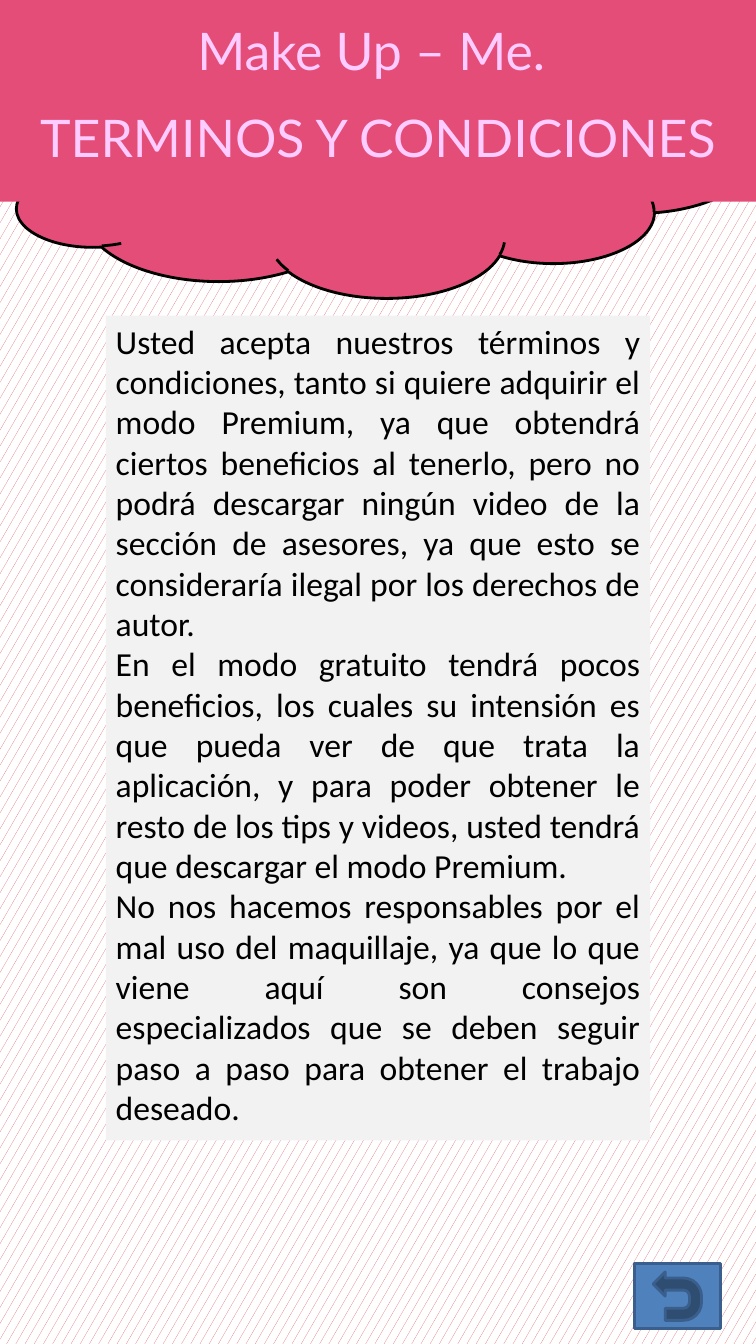
import pptx
import pptx.util
from pptx.dml.color import RGBColor
from pptx.enum.dml import MSO_PATTERN
from pptx.enum.shapes import MSO_SHAPE
from pptx.enum.text import MSO_ANCHOR, MSO_AUTO_SIZE, PP_ALIGN
from pptx.oxml import parse_xml
from pptx.oxml.ns import nsdecls
from pptx.util import Inches

PINK = RGBColor(0xE3, 0x4D, 0x78)
CONFETTI = RGBColor(0xD9, 0x57, 0x63)
LILAC = RGBColor(0xFF, 0xCC, 0xFF)
GRAY = RGBColor(0xF2, 0xF2, 0xF2)
BLUE = RGBColor(0x4F, 0x81, 0xBD)
DARK_BLUE = RGBColor(0x3A, 0x5F, 0x8C)
BLACK = RGBColor(0, 0, 0)
WHITE = RGBColor(255, 255, 255)

HEADING = ["Make Up – Me. ", "TERMINOS Y CONDICIONES"]
TERMS = [
    "Usted acepta nuestros términos y condiciones, tanto si quiere adquirir el "
    "modo Premium, ya que obtendrá ciertos beneficios al tenerlo, pero no podrá "
    "descargar ningún video de la sección de asesores, ya que esto se "
    "consideraría ilegal por los derechos de autor.",
    "En el modo gratuito tendrá pocos beneficios, los cuales su intensión es que "
    "pueda ver de que trata la aplicación, y para poder obtener le resto de los "
    "tips y videos, usted tendrá que descargar el modo Premium.",
    "No nos hacemos responsables por el mal uso del maquillaje, ya que lo que "
    "viene aquí son consejos especializados que se deben seguir paso a paso para "
    "obtener el trabajo deseado.",
]


class Page:
    """Holds the style and the current slide."""
    title_font, title_size = "Lato", 37
    body_font, body_size = "Calibri", 24

    def __init__(self, prs):
        self.s = prs.slides.add_slide(prs.slide_layouts[5])

    def background(self, fore, back):
        fill = self.s.background.fill
        fill.patterned()
        fill.pattern = MSO_PATTERN.SMALL_CONFETTI
        fill.fore_color.rgb = fore
        fill.back_color.rgb = back

    def shape(self, kind, left, top, width, height, color, line=None):
        sp = self.s.shapes.add_shape(kind, Inches(left), Inches(top),
                                     Inches(width), Inches(height))
        sp.shadow.inherit = False
        sp.fill.solid()
        sp.fill.fore_color.rgb = color
        if line is None:
            sp.line.fill.background()
        else:
            sp.line.color.rgb = line
            sp.line.width = pptx.util.Pt(2)
        return sp

    def add_text(self, tf, texts, font, size, color, align):
        tf.word_wrap = True
        for i, text in enumerate(texts):
            p = tf.add_paragraph() if i else tf.paragraphs[0]
            p.alignment = align
            r = p.add_run()
            r.text = text
            r.font.name = font
            r.font.size = pptx.util.Pt(size)
            r.font.color.rgb = color

    def title(self, texts, left, top, width, height):
        sp = self.s.shapes.title
        sp.left, sp.top = Inches(left), Inches(top)
        sp.width, sp.height = Inches(width), Inches(height)
        sp.fill.solid()
        sp.fill.fore_color.rgb = PINK
        tf = sp.text_frame
        tf.auto_size = MSO_AUTO_SIZE.NONE
        tf.vertical_anchor = MSO_ANCHOR.MIDDLE
        self.add_text(tf, texts, self.title_font, self.title_size, LILAC,
                      PP_ALIGN.CENTER)
        for i, p in enumerate(tf.paragraphs):
            p.line_spacing = 0.7
            p.space_before = pptx.util.Pt(31 if i else 0)
            # Thin black outline around the letters
            p.runs[0]._r.get_or_add_rPr().insert(0, parse_xml(
                f'<a:ln {nsdecls("a")} w="9525"><a:solidFill>'
                f'<a:srgbClr val="{BLACK}"/></a:solidFill></a:ln>'))
        # Bring the banner in front of the cloud
        sp.element.getparent().append(sp.element)

    def panel(self, texts, left, top, width, height):
        sp = self.shape(MSO_SHAPE.RECTANGLE, left, top, width, height, GRAY)
        tf = sp.text_frame
        tf.vertical_anchor = MSO_ANCHOR.TOP
        tf.auto_size = MSO_AUTO_SIZE.SHAPE_TO_FIT_TEXT
        self.add_text(tf, texts, self.body_font, self.body_size, BLACK,
                      PP_ALIGN.JUSTIFY)


def main():
    prs = pptx.Presentation()
    prs.slide_width, prs.slide_height = Inches(7.5), Inches(13.33)
    page = Page(prs)
    page.background(CONFETTI, WHITE)

    # Cloud, terms and banner
    page.shape(MSO_SHAPE.CLOUD, 0, 0.16, 7.5, 2.79, PINK, BLACK)
    page.panel(TERMS, 1.05, 3.13, 5.4, 8.18)
    page.title(HEADING, 0, 0, 7.5, 2)

    # Return button
    button = page.shape(MSO_SHAPE.ACTION_BUTTON_RETURN, 6.4, 12.43, 0.64, 0.85,
                        BLUE, DARK_BLUE)
    button.rotation = 270
    prs.save("out.pptx")


if __name__ == "__main__":
    main()
